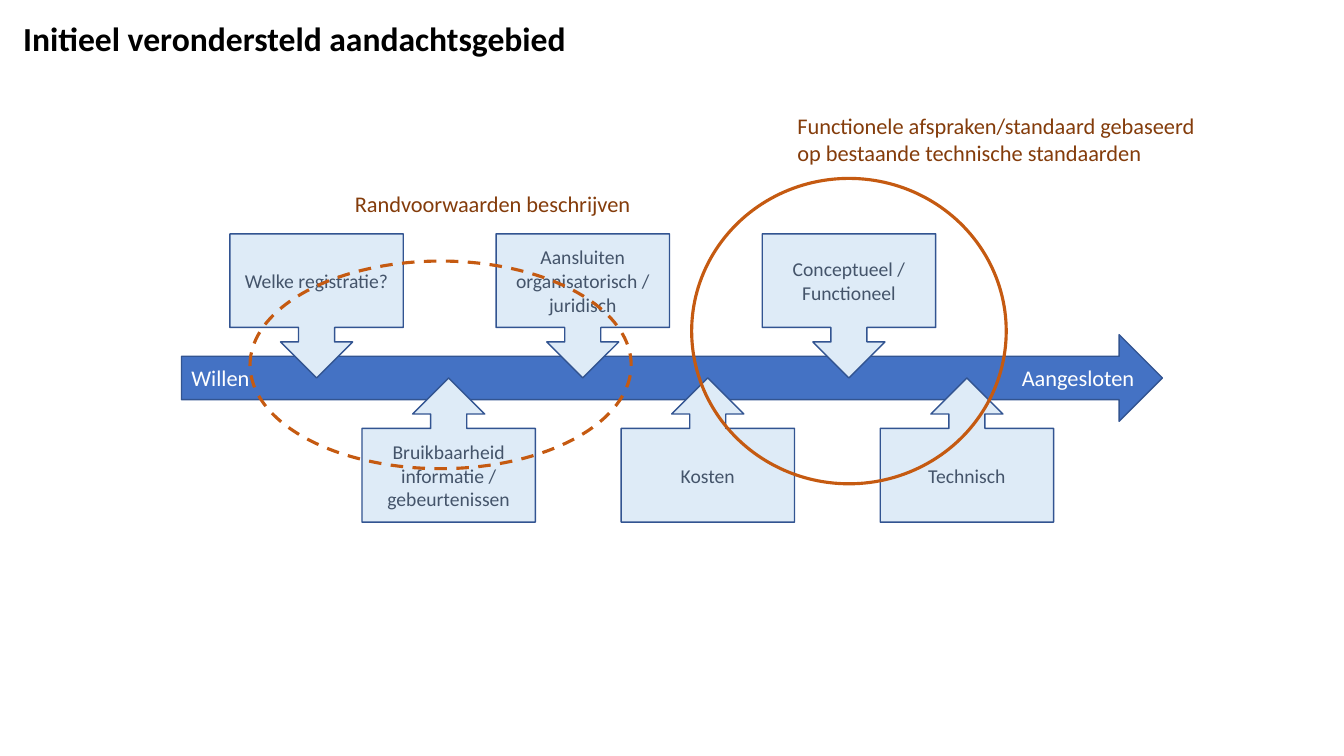
from pptx import Presentation
from pptx.dml.color import RGBColor
from pptx.enum.dml import MSO_LINE_DASH_STYLE as DASH
from pptx.enum.shapes import MSO_SHAPE as SHAPE
from pptx.enum.text import MSO_ANCHOR as ANCHOR, MSO_AUTO_SIZE as AUTO, PP_ALIGN as ALIGN
from pptx.util import Pt

PX = 9144  # EMU per px, 100 px to the inch
FONT = "Calibri"
BLACK = RGBColor(0x00, 0x00, 0x00)
WHITE = RGBColor(0xFF, 0xFF, 0xFF)
BLUE = RGBColor(0x44, 0x72, 0xC4)
OUTLINE = RGBColor(0x32, 0x54, 0x91)
PALE_BLUE = RGBColor(0xDE, 0xEB, 0xF7)
SLATE = RGBColor(0x44, 0x54, 0x6A)
ORANGE = RGBColor(0xC5, 0x5A, 0x11)
BROWN = RGBColor(0x84, 0x3C, 0x0B)

CALLOUT_W, CALLOUT_H = 172, 143
AXIS_Y = 375  # callout tips meet on the middle of the arrow
CALLOUTS_ABOVE = [
    (228, ["Welke registratie?"]),
    (492, ["Aansluiten", "organisatorisch / juridisch"]),
    (756, ["Conceptueel / Functioneel"]),
]
CALLOUTS_BELOW = [
    (359, ["Bruikbaarheid informatie / gebeurtenissen"]),
    (616, ["Kosten"]),
    (873, ["Technisch"]),
]


def box(x, y, w, h):
    return [v * PX for v in (x, y, w, h)]


def write(tf, lines, size, color, align=ALIGN.LEFT, bold=False):
    for i, line in enumerate(lines):
        p = tf.paragraphs[0] if i == 0 else tf.add_paragraph()
        p.alignment = align
        r = p.add_run()
        r.text = line
        r.font.name = FONT
        r.font.size = Pt(size)
        r.font.bold = bold
        r.font.color.rgb = color


def add_title(s, text):
    title = s.shapes.title
    title.left, title.top, title.width, title.height = box(13, 13, 564, 50)
    tf = title.text_frame
    tf.word_wrap = False
    tf.auto_size = AUTO.SHAPE_TO_FIT_TEXT
    tf.vertical_anchor = ANCHOR.TOP
    write(tf, [text], 24, BLACK, bold=True)


def add_label(s, place, text, color, align=ALIGN.LEFT, wrap=True):
    tf = s.shapes.add_textbox(*box(*place)).text_frame
    tf.word_wrap = wrap
    tf.auto_size = AUTO.SHAPE_TO_FIT_TEXT
    write(tf, [text], 16, color, align)


def add_block(s, kind, place, fill, lines, size, color, align):
    """Add a filled, outlined shape with text centred vertically."""
    block = s.shapes.add_shape(kind, *box(*place))
    block.shadow.inherit = False
    block.fill.solid()
    block.fill.fore_color.rgb = fill
    block.line.color.rgb = OUTLINE
    block.line.width = Pt(1)
    tf = block.text_frame
    tf.word_wrap = True
    tf.vertical_anchor = ANCHOR.MIDDLE
    write(tf, lines, size, color, align)


def add_callout(s, kind, x, y, lines):
    add_block(s, kind, (x, y, CALLOUT_W, CALLOUT_H), PALE_BLUE, lines, 14, SLATE, ALIGN.CENTER)


def add_ring(s, place, dash=None):
    ring = s.shapes.add_shape(SHAPE.OVAL, *box(*place))
    ring.shadow.inherit = False
    ring.fill.background()
    ring.line.color.rgb = ORANGE
    ring.line.width = Pt(2.25)
    if dash:
        ring.line.dash_style = dash


def main():
    prs = Presentation()
    prs.slide_width, prs.slide_height = 1333 * PX, 750 * PX
    s = prs.slides.add_slide(prs.slide_layouts[5])

    add_title(s, "Initieel verondersteld aandachtsgebied")
    add_block(s, SHAPE.RIGHT_ARROW, (180, 332, 973, 86), BLUE, ["Willen"], 16, WHITE, ALIGN.LEFT)
    for x, lines in CALLOUTS_ABOVE:
        add_callout(s, SHAPE.DOWN_ARROW_CALLOUT, x, AXIS_Y - CALLOUT_H, lines)
    for x, lines in CALLOUTS_BELOW:
        add_callout(s, SHAPE.UP_ARROW_CALLOUT, x, AXIS_Y, lines)
    add_label(s, (1002, 356, 133, 37), "Aangesloten", WHITE, ALIGN.RIGHT, wrap=False)

    add_ring(s, (248, 259, 378, 206), DASH.DASH)
    add_label(s, (342, 184, 299, 37), "Randvoorwaarden beschrijven", BROWN)
    add_ring(s, (686, 177, 312, 303))
    add_label(s, (781, 106, 417, 64),
              "Functionele afspraken/standaard gebaseerd op bestaande technische standaarden", BROWN)

    prs.save("out.pptx")


if __name__ == "__main__":
    main()
